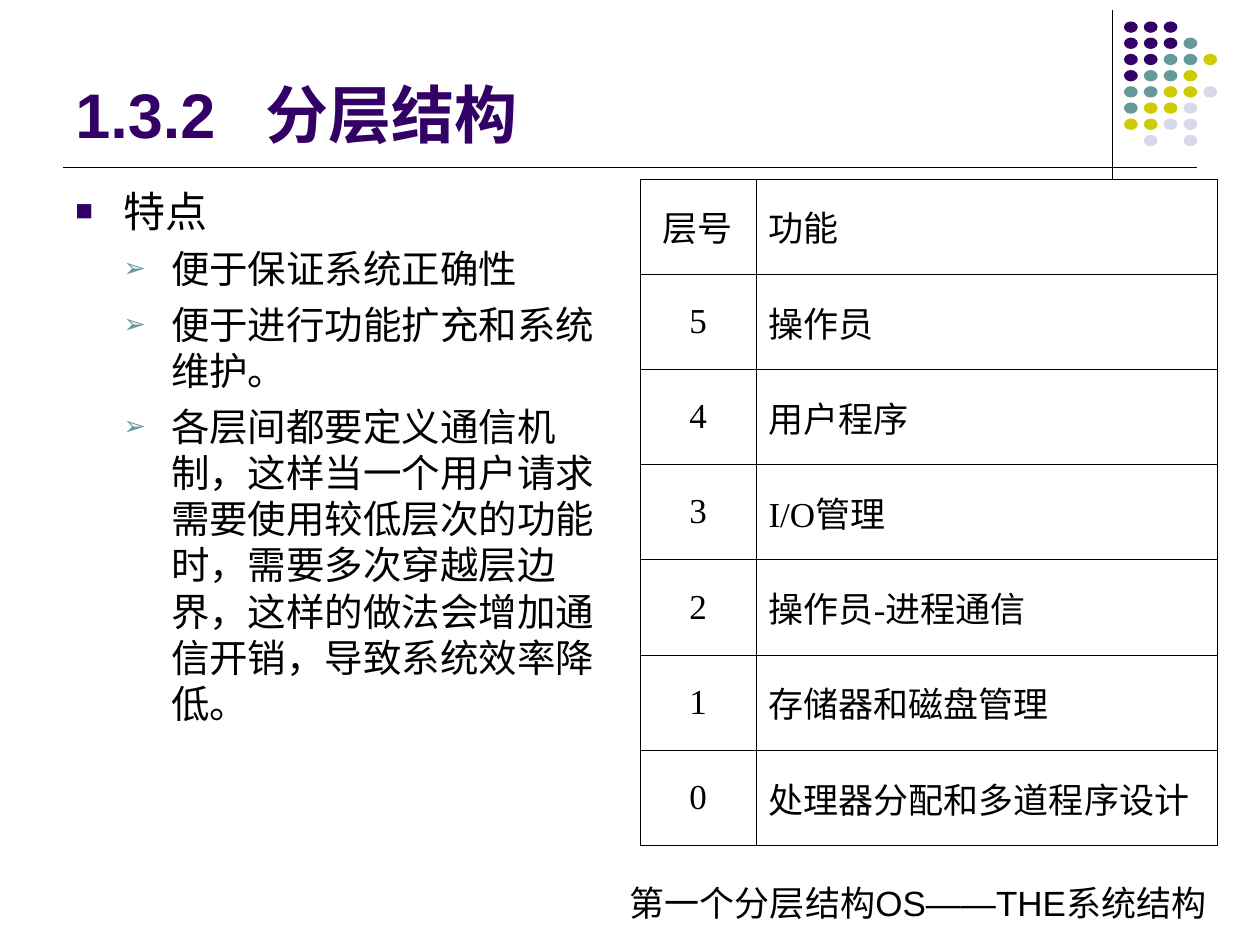
from typing import NamedTuple

from lxml import etree
from pptx import Presentation
from pptx.dml.color import RGBColor
from pptx.enum import shapes, text
from pptx.oxml import ns
from pptx.util import Inches, Pt

PURPLE = RGBColor(0x33, 0x00, 0x66)
TEAL = RGBColor(0x66, 0x99, 0x99)
LIME = RGBColor(0xCC, 0xCC, 0x00)
LAVENDER = RGBColor(0xD8, 0xD8, 0xEC)
BLACK = RGBColor(0, 0, 0)

DOT_COLORS = {"P": PURPLE, "T": TEAL, "Y": LIME, "L": LAVENDER}
DOT_ROWS = ["PPP", "PPPT", "PPTTY", "PTTY", "TTYYL", "TYYL", "YYLL", " L L"]
DOT_LEFT, DOT_TOP = 8.92, 0.17
DOT_STEP_X = 0.63 / 4
DOT_STEP_Y = 0.9 / 7


class Box(NamedTuple):
    left: float
    top: float
    width: float
    height: float

    def emu(self) -> list:
        return [Inches(v) for v in self]


class Bullet(NamedTuple):
    char: str
    color: RGBColor
    indent: float
    size: float
    before: float


class Item(NamedTuple):
    words: str
    bullet: Bullet


class Layer(NamedTuple):
    number: str
    role: str
    font: str = "Times New Roman"


SQUARE = Bullet("■", PURPLE, 0.38, 24, 6)
ARROW = Bullet("➢", TEAL, 0.76, 22, 5.5)

ITEMS = [
    Item("特点", SQUARE),
    Item("便于保证系统正确性", ARROW),
    Item("便于进行功能扩充和系统维护。", ARROW),
    Item("各层间都要定义通信机制，这样当一个用户请求需要使用较低层次的功能时，"
         "需要多次穿越层边界，这样的做法会增加通信开销，导致系统效率降低。", ARROW),
]

LAYERS = [
    Layer("层号", "功能", "Arial"),
    Layer("5", "操作员"),
    Layer("4", "用户程序"),
    Layer("3", "I/O管理"),
    Layer("2", "操作员-进程通信"),
    Layer("1", "存储器和磁盘管理"),
    Layer("0", "处理器分配和多道程序设计"),
]


def add_child(parent, tag: str, **attrs):
    return etree.SubElement(parent, ns.qn(tag), attrs)


def format_runs(p, size: float, color=BLACK, font="Arial", bold=False) -> None:
    for r in p.runs:
        r.font.size = Pt(size)
        r.font.name = font
        r.font.bold = bold
        r.font.color.rgb = color


def add_text(s, box: Box, anchor):
    tf = s.shapes.add_textbox(*box.emu()).text_frame
    tf.word_wrap = True
    tf.vertical_anchor = anchor
    return tf


def add_dots(s) -> None:
    group = s.shapes.add_group_shape()
    for row, marks in enumerate(DOT_ROWS):
        for col, mark in enumerate(marks):
            if mark not in DOT_COLORS:
                continue
            box = Box(DOT_LEFT + col * DOT_STEP_X, DOT_TOP + row * DOT_STEP_Y, 0.11, 0.09)
            sp = group.shapes.add_shape(shapes.MSO_SHAPE.OVAL, *box.emu())
            sp.shadow.inherit = False
            sp.fill.solid()
            sp.fill.fore_color.rgb = DOT_COLORS[mark]
            sp.line.fill.background()


def add_rule(s, x1: float, y1: float, x2: float, y2: float, width: float) -> None:
    ends = [Inches(v) for v in (x1, y1, x2, y2)]
    c = s.shapes.add_connector(shapes.MSO_CONNECTOR.STRAIGHT, *ends)
    c.line.color.rgb = BLACK
    c.line.width = Pt(width)
    add_child(c._element.spPr, "a:effectLst")


def add_title(s) -> None:
    p = add_text(s, Box(0.5, 0.13, 8.25, 1.12), text.MSO_ANCHOR.BOTTOM).paragraphs[0]
    p.text = "1.3.2\t分层结构"
    format_runs(p, 36, PURPLE, bold=True)
    tabs = add_child(p._p.get_or_add_pPr(), "a:tabLst")
    add_child(tabs, "a:tab", pos=str(Inches(1.51)), algn="l")


def add_items(s) -> None:
    tf = add_text(s, Box(0.5, 1.42, 4.42, 5.29), text.MSO_ANCHOR.TOP)
    for i, (words, bullet) in enumerate(ITEMS):
        p = tf.add_paragraph() if i else tf.paragraphs[0]
        p.text = words
        p.level = int(bullet is ARROW)
        p.space_before = Pt(bullet.before)
        format_runs(p, bullet.size)
        pPr = p._p.get_or_add_pPr()
        pPr.set("marL", str(Inches(bullet.indent)))
        pPr.set("indent", str(Inches(-0.38)))
        pPr.set("hangingPunct", "0")
        add_child(add_child(pPr, "a:buClr"), "a:srgbClr", val=str(bullet.color))
        add_child(pPr, "a:buSzPct", val="70000")
        add_child(pPr, "a:buFont", typeface="Arial")
        add_child(pPr, "a:buChar", char=bullet.char)


def add_borders(cell) -> None:
    tcPr = cell._tc.get_or_add_tcPr()
    for i, side in enumerate(("a:lnL", "a:lnR", "a:lnT", "a:lnB")):
        ln = etree.Element(ns.qn(side), {"w": str(Pt(0.45))})
        add_child(add_child(ln, "a:solidFill"), "a:srgbClr", val=str(BLACK))
        tcPr.insert(i, ln)


def add_layers(s) -> None:
    box = Box(5.08, 1.42, 4.58, 5.29)
    table = s.shapes.add_table(len(LAYERS), 2, *box.emu()).table
    table.first_row = False
    table.horz_banding = False
    for column, width in zip(table.columns, (0.92, 3.66)):
        column.width = Inches(width)
    for row, layer in zip(table.rows, LAYERS):
        aligns = (text.PP_ALIGN.CENTER, text.PP_ALIGN.LEFT)
        for cell, words, align in zip(row.cells, (layer.number, layer.role), aligns):
            cell.text_frame.text = words
            cell.vertical_anchor = text.MSO_ANCHOR.MIDDLE
            cell.fill.background()
            p = cell.text_frame.paragraphs[0]
            p.alignment = align
            format_runs(p, 20, font=layer.font)
            add_borders(cell)


def add_caption(s) -> None:
    tf = add_text(s, Box(4.9, 6.83, 4.99, 0.57), text.MSO_ANCHOR.MIDDLE)
    tf.margin_top = Inches(0.15)
    p = tf.paragraphs[0]
    p.text = "第一个分层结构OS——THE系统结构"
    format_runs(p, 20)


def main() -> None:
    prs = Presentation()
    prs.slide_width, prs.slide_height = Inches(10), Inches(7.5)
    s = prs.slides.add_slide(prs.slide_layouts[6])
    add_dots(s)
    add_rule(s, 0.5, 1.33, 9.5, 1.33, 0.5)
    add_rule(s, 8.83, 0.08, 8.83, 1.42, 0.75)
    add_title(s)
    add_items(s)
    add_layers(s)
    add_caption(s)
    prs.save("out.pptx")


if __name__ == "__main__":
    main()
